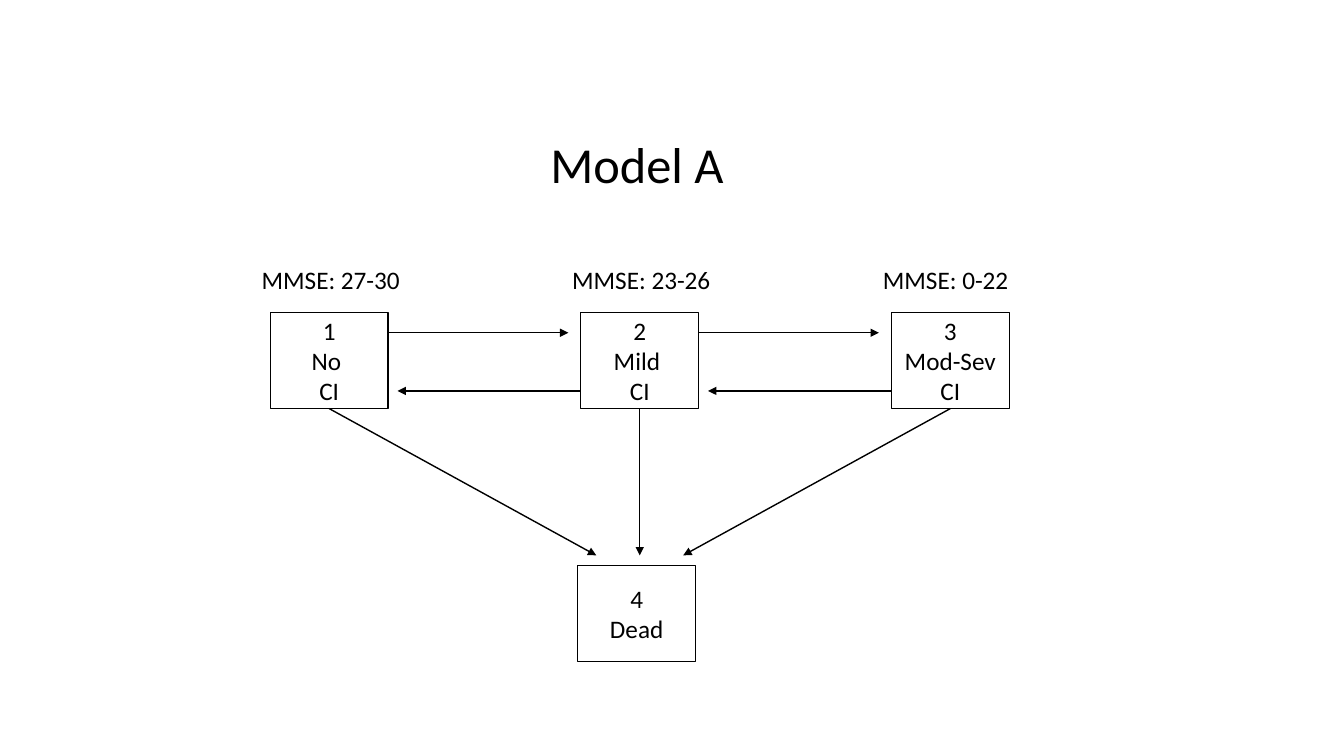
from lxml import etree
from pptx import Presentation
from pptx import util as u
from pptx.dml.color import RGBColor
from pptx.enum import shapes, text
from pptx.oxml import ns

COLORS = {"ink": "000000", "paper": "FFFFFF"}
LEFT, TOP = 2.68, 3.1          # corner of the first state box, inches
COL_STEP, ROW_STEP = 3.08, 2.51
BOX = 0.38                     # box width in columns and height in rows


class Diagram:
    """Draws on one slide; all lengths are in grid columns and rows."""

    font, size, line_width = "Calibri", 18, 1

    def __init__(self, slide):
        self.s = slide

    def point(self, col, row):
        return u.Inches(LEFT + col * COL_STEP), u.Inches(TOP + row * ROW_STEP)

    def extent(self, cols, rows):
        return u.Inches(cols * COL_STEP), u.Inches(rows * ROW_STEP)

    def color(self, name):
        return RGBColor.from_string(COLORS[name])

    def set_text(self, sp, words, size, align):
        tf = sp.text_frame
        tf.text = words
        for p in tf.paragraphs:
            p.alignment = align
            for r in p.runs:
                r.font.name, r.font.size = self.font, u.Pt(size)
                r.font.color.rgb = self.color("ink")
        return tf

    def outline(self, sp):
        sp.line.color.rgb = self.color("ink")
        sp.line.width = u.Pt(self.line_width)

    def box(self, col, row, words):
        sp = self.s.shapes.add_shape(shapes.MSO_SHAPE.RECTANGLE,
                                     *self.point(col, row), *self.extent(BOX, BOX))
        sp.shadow.inherit = False
        sp.fill.solid()
        sp.fill.fore_color.rgb = self.color("paper")
        self.outline(sp)
        tf = self.set_text(sp, words, self.size, text.PP_ALIGN.CENTER)
        tf.word_wrap = True
        tf.vertical_anchor = text.MSO_ANCHOR.MIDDLE

    def label(self, col, row, cols, rows, words, size=size,
              align=text.PP_ALIGN.CENTER, wrap=True):
        sp = self.s.shapes.add_textbox(*self.point(col, row), *self.extent(cols, rows))
        tf = self.set_text(sp, words, size, align)
        tf.word_wrap = wrap
        tf.auto_size = text.MSO_AUTO_SIZE.SHAPE_TO_FIT_TEXT

    def arrow(self, start, end):
        sp = self.s.shapes.add_connector(shapes.MSO_CONNECTOR.STRAIGHT,
                                         *self.point(*start), *self.point(*end))
        self.outline(sp)
        props = sp.element.spPr
        etree.SubElement(props.get_or_add_ln(), ns.qn("a:tailEnd"), type="triangle")
        etree.SubElement(props, ns.qn("a:effectLst"))


def main():
    prs = Presentation()
    prs.slide_width, prs.slide_height = u.Inches(13.33), u.Inches(7.5)
    d = Diagram(prs.slides.add_slide(prs.slide_layouts[6]))

    d.label(0.87, -0.73, 0.63, 0.28, "Model A", 36, text.PP_ALIGN.LEFT, wrap=False)

    states = [("1\nNo \nCI", "MMSE: 27-30", -0.09),
              ("2\nMild \nCI", "MMSE: 23-26", 0.91),
              ("3\nMod-Sev CI", "MMSE: 0-22", 1.89)]
    for col, (state, score, score_col) in enumerate(states):
        d.box(col, 0, state)
        d.label(score_col, -0.21, 0.57, 0.16, score)
    d.box(0.99, 1, "4\nDead")

    for col in range(len(states) - 1):
        d.arrow((col + BOX, 0.08), (col + 0.96, 0.08))
        d.arrow((col + 1, 0.31), (col + 0.41, 0.31))
    for col, dead_col in enumerate((1.05, 1.19, 1.33)):
        d.arrow((col + BOX / 2, BOX), (dead_col, 0.96))

    prs.save("out.pptx")


if __name__ == "__main__":
    main()
